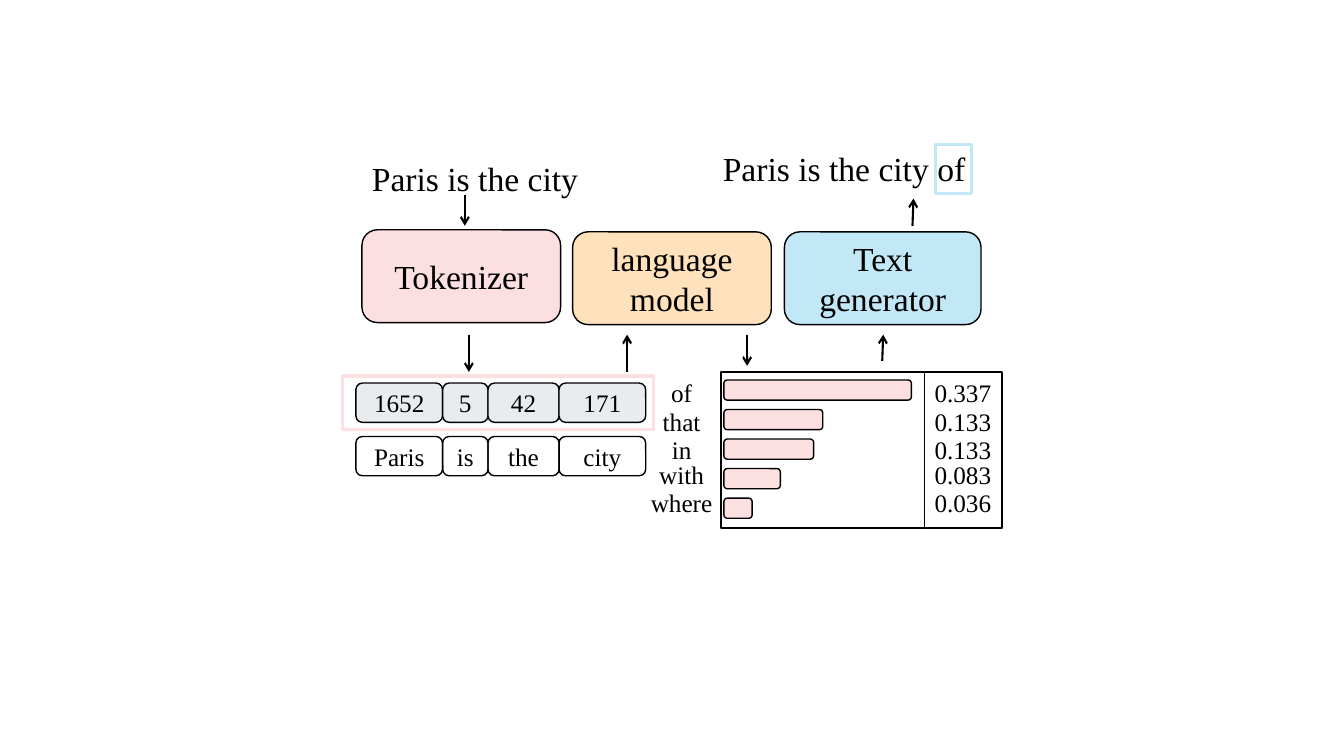
from lxml import etree
from pptx import Presentation
from pptx.dml.color import RGBColor
from pptx.enum import shapes, text
from pptx.oxml import ns
from pptx.util import Inches, Pt

FONT = "Times New Roman"
BLACK, PINK, ORANGE, BLUE, GREY = "000000", "FCE0E1", "FFE2BB", "C2E8F7", "E9ECEF"
ROUND = shapes.MSO_SHAPE.ROUNDED_RECTANGLE
RECT = shapes.MSO_SHAPE.RECTANGLE
LEFT, CENTER = text.PP_ALIGN.LEFT, text.PP_ALIGN.CENTER

# Content: stages are label, left, top, width, fill
STAGES = [
    ("Tokenizer", 3.59, 2.28, 1.97, PINK),
    ("language model", 5.68, 2.3, 1.97, ORANGE),
    ("Text generator", 7.78, 2.3, 1.95, BLUE),
]
SENTENCES = [("Paris is the city", 3.59, 1.52, 2.36), ("Paris is the city of", 7.07, 1.42, 2.89)]
# Token, id, width
TOKENS = [("Paris", "1652", 0.86), ("is", "5", 0.45), ("the", "42", 0.705), ("city", "171", 0.86)]
# Candidate word, probability, bar width, text top
CANDIDATES = [
    ("of", "0.337", 1.86, 3.69),
    ("that", "0.133", 0.98, 3.98),
    ("in", "0.133", 0.89, 4.26),
    ("with", "0.083", 0.56, 4.51),
    ("where", "0.036", 0.28, 4.79),
]
# Arrows: start x, start y, end x, end y
ARROWS = [
    (4.61, 1.93, 4.61, 2.24),
    (4.65, 3.32, 4.65, 3.69),
    (6.22, 3.69, 6.22, 3.32),
    (7.41, 3.32, 7.41, 3.63),
    (8.75, 3.58, 8.76, 3.32),
    (9.05, 2.24, 9.06, 1.97),
]

deck = Presentation()
deck.slide_width, deck.slide_height = Inches(13.33), Inches(7.5)
page = deck.slides.add_slide(deck.slide_layouts[6])


def color(value):
    return RGBColor.from_string(value)


def write(box, words, size=18, align=CENTER, anchor=text.MSO_ANCHOR.MIDDLE, inset=0.1):
    frame = box.text_frame
    frame.word_wrap = True
    frame.vertical_anchor = anchor
    frame.margin_left = frame.margin_right = Inches(inset)
    para = frame.paragraphs[0]
    para.alignment = align
    span = para.add_run()
    span.text = words
    span.font.name, span.font.size = FONT, Pt(size)
    span.font.color.rgb = color(BLACK)


def add_box(kind, left, top, width, height, fill=None, line=BLACK, weight=1):
    box = page.shapes.add_shape(kind, Inches(left), Inches(top), Inches(width), Inches(height))
    box.shadow.inherit = False
    if fill:
        box.fill.solid()
        box.fill.fore_color.rgb = color(fill)
    else:
        box.fill.background()
    box.line.color.rgb = color(line)
    box.line.width = Pt(weight)
    return box


def add_label(words, left, top, width, height=0.4, **style):
    box = page.shapes.add_textbox(Inches(left), Inches(top), Inches(width), Inches(height))
    write(box, words, anchor=text.MSO_ANCHOR.TOP, **style)


def add_arrow(*ends):
    arrow = page.shapes.add_connector(shapes.MSO_CONNECTOR.STRAIGHT, *map(Inches, ends))
    arrow.line.color.rgb = color(BLACK)
    arrow.line.width = Pt(1.5)
    etree.SubElement(arrow.line._get_or_add_ln(), ns.qn("a:tailEnd"), type="arrow")
    etree.SubElement(arrow._element.spPr, ns.qn("a:effectLst"))


# Pipeline stages and sentences
for words, left, top, width, fill in STAGES:
    write(add_box(ROUND, left, top, width, 0.92, fill), words, size=24)
for words, left, top, width in SENTENCES:
    add_label(words, left, top, width, 0.5, size=24, align=LEFT)

# Token ids above their tokens
left = 3.53
for token, number, width in TOKENS:
    write(add_box(ROUND, left, 3.8, width, 0.39, GREY), number)
    write(add_box(ROUND, left, 4.33, width, 0.39), token)
    left += width

# Probability panel with one bar per candidate
add_box(RECT, 7.15, 3.69, 2.02, 1.55)
add_box(RECT, 9.17, 3.69, 0.77, 1.55)
for row, (word, chance, width, top) in enumerate(CANDIDATES):
    add_box(ROUND, 7.18, 3.77 + row * 0.293, width, 0.2, PINK)
    add_label(word, 6.35, top, 0.82, inset=0.05)
    add_label(chance, 9.17, top, 0.82, align=LEFT)

# Highlight frames
add_box(RECT, 9.28, 1.43, 0.36, 0.49, line=BLUE, weight=2.25)
add_box(RECT, 3.4, 3.73, 3.08, 0.53, line=PINK, weight=2.25)

# Flow arrows
for ends in ARROWS:
    add_arrow(*ends)

deck.save("out.pptx")
